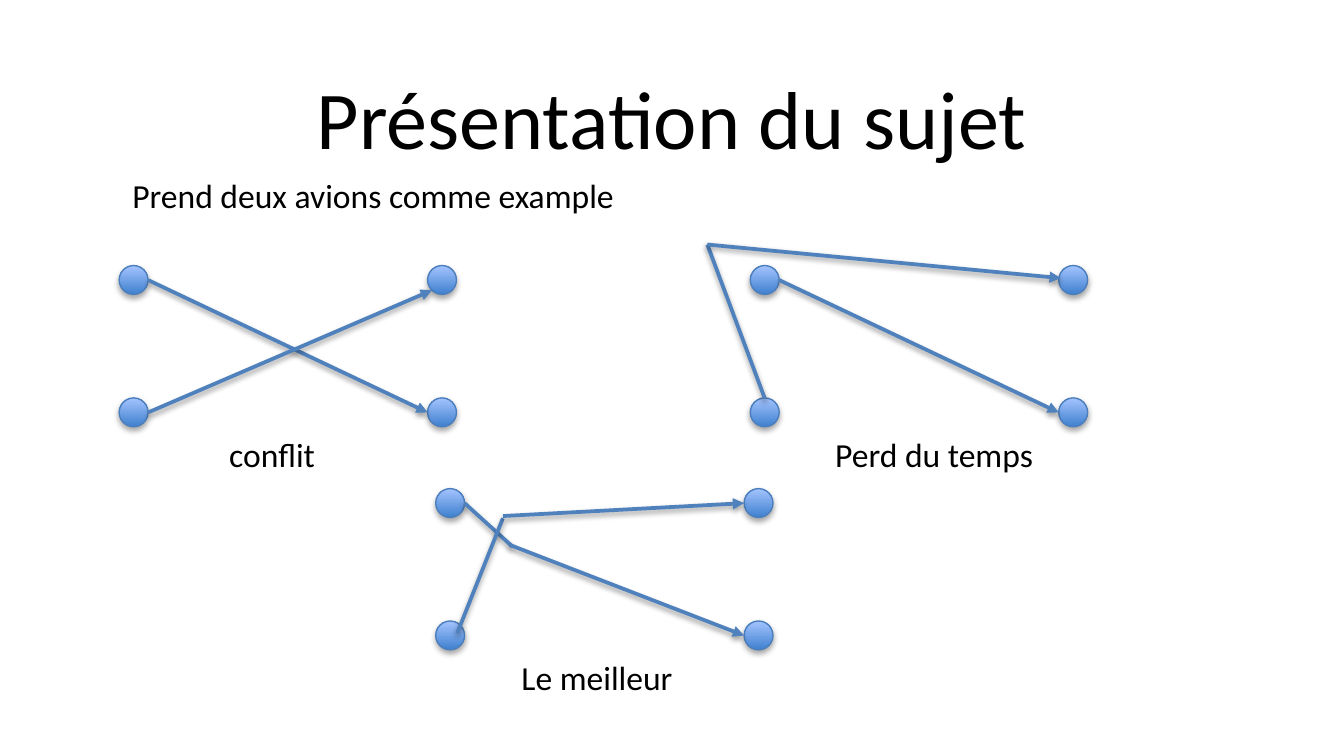
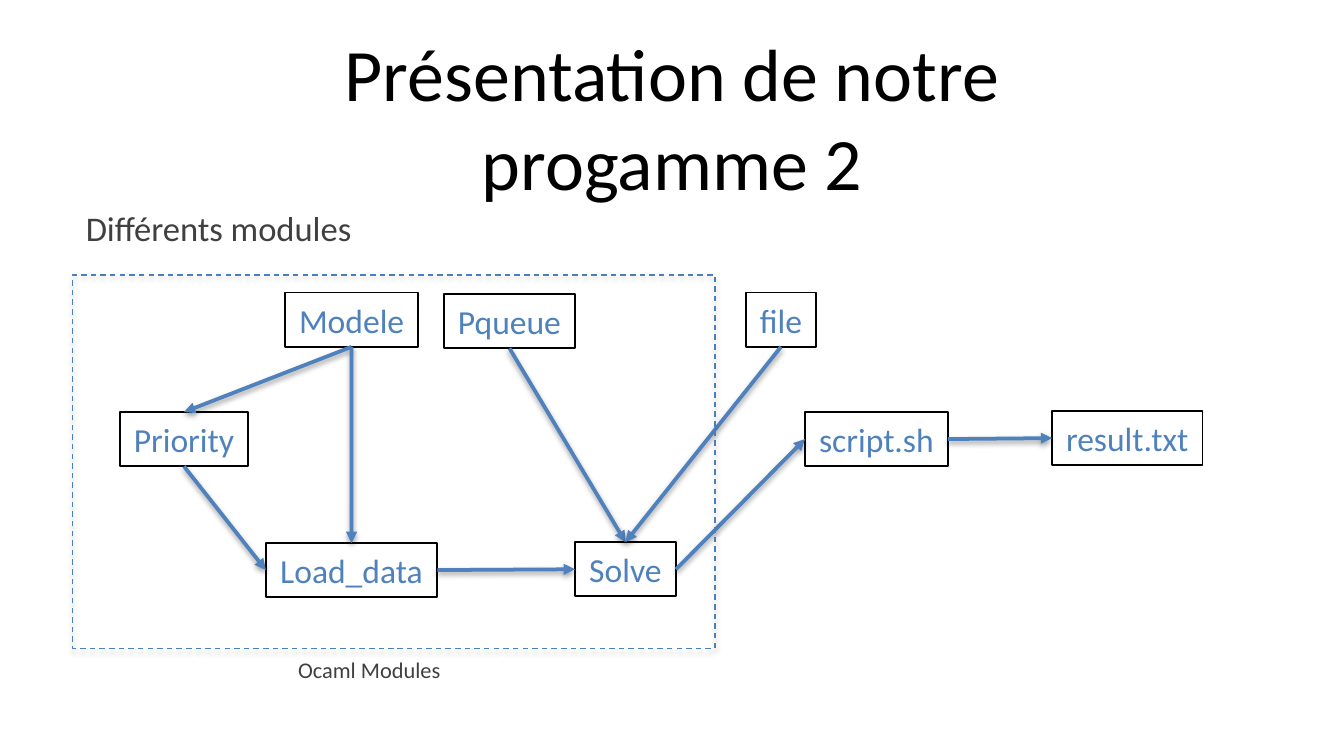
"""Builds two slides on aircraft conflicts and program modules, on a 100-column grid."""
import pptx
import pptx.util
import pptx.dml.color
import pptx.enum.dml
import pptx.enum.shapes
import pptx.enum.text
import pptx.oxml.ns
import lxml.etree

rgb = pptx.dml.color.RGBColor.from_string
tag = pptx.oxml.ns.qn
Pt = pptx.util.Pt
OVAL = pptx.enum.shapes.MSO_SHAPE.OVAL
RECT = pptx.enum.shapes.MSO_SHAPE.RECTANGLE
LINE = pptx.enum.shapes.MSO_CONNECTOR.STRAIGHT
ALIGN = pptx.enum.text.PP_ALIGN
MIDDLE = pptx.enum.text.MSO_ANCHOR.MIDDLE
BLACK, GREY, BLUE, RIM = "000000", "404040", "4F81BD", "4B7EBC"
TOP, LEFT, BASE, RIGHT = range(4)

deck = pptx.Presentation()
deck.slide_width = pptx.util.Inches(10)
deck.slide_height = deck.slide_width * 9 // 16
CELL = deck.slide_width / 100


def write(shape, text, size, hue=BLACK, align=ALIGN.LEFT, **frame):
    """Put one formatted paragraph in a shape."""
    look = {"auto_size": pptx.enum.text.MSO_AUTO_SIZE.NONE, "word_wrap": False, **frame}
    for key, value in look.items():
        setattr(shape.text_frame, key, value)
    para = shape.text_frame.paragraphs[0]
    para.alignment = align
    run = para.add_run()
    run.text = text
    for key, value in {"size": Pt(size), "name": "Calibri"}.items():
        setattr(run.font, key, value)
    run.font.color.rgb = rgb(hue)


def edge(shape, hue, width, alpha=0, drop=0, arrow=False):
    """Set outline, arrowhead and shadow."""
    shape.line.color.rgb = rgb(hue)
    shape.line.width = Pt(width)
    props = shape.element.spPr
    if arrow:
        lxml.etree.SubElement(props.find(tag("a:ln")), tag("a:tailEnd"), type="triangle")
    effect = lxml.etree.SubElement(props, tag("a:effectLst"))
    if alpha:
        shade = lxml.etree.SubElement(
            effect, tag("a:outerShdw"), blurRad=str(Pt(3.1)), dist=str(Pt(drop)),
            dir="5400000", rotWithShape="0")
        ink = lxml.etree.SubElement(shade, tag("a:srgbClr"), val=BLACK)
        lxml.etree.SubElement(ink, tag("a:alpha"), val=str(alpha * 1000))


ROUTE = {"hue": BLUE, "width": 2, "alpha": 38, "drop": 1.6}
SOLID = {"hue": RIM, "width": 0.75, "alpha": 35, "drop": 1.8}

pages = []
for text, size in (("Présentation du sujet", 44), ("Présentation de notre progamme 2", 39.6)):
    page = deck.slides.add_slide(deck.slide_layouts[5])
    place = {"left": 18.3, "top": 3.8, "width": 63.4, "height": 9.7}
    for key, value in place.items():
        setattr(page.shapes.title, key, int(value * CELL))
    write(page.shapes.title, text, size, align=ALIGN.CENTER, word_wrap=True, vertical_anchor=MIDDLE)
    pages.append(page.shapes)
planes, flow = pages

DOT, WIDE, HIGH = 2.15, 22.95, 9.85
cases = [
    (8.87, 19.76, "conflit", 7.2, 8.5, [
        (2.15, 1.08, 22.95, 10.93, True),
        (2.15, 10.93, 23.27, 1.84, True)]),
    (55.83, 19.76, "Perd du temps", 5.33, 16.9, [
        (2.15, 1.08, 22.95, 10.93, True),
        (1.08, 9.9, -3.2, -1.56, False),
        (-3.2, -1.56, 23.1, 0.94, True)]),
    (32.42, 36.36, "Le meilleur ", 5.4, 14, [
        (2.15, 1.08, 5.7, 4.3, False),
        (5.5, 4.18, 22.95, 10.93, True),
        (1.6, 10.75, 5, 2.2, False),
        (5, 2.04, 22.95, 1.08, True)]),
]
for col, row, text, inset, span, routes in cases:
    for x in (col, col + WIDE):
        for y in (row, row + HIGH):
            dot = planes.add_shape(OVAL, *(int(v * CELL) for v in (x, y, DOT, DOT)))
            dot.fill.gradient()
            dot.fill.gradient_angle = 90
            for stop, hue in zip(dot.fill.gradient_stops, ("3F80CE", "A4C4FF")):
                stop.color.rgb = rgb(hue)
            edge(dot, **SOLID)
    for x, y, toX, toY, arrow in routes:
        ends = (col + x, row + y, col + toX, row + toY)
        edge(planes.add_connector(LINE, *(int(v * CELL) for v in ends)), **ROUTE, arrow=arrow)
    place = (col + inset, row + 12.04, span, 4)
    write(planes.add_textbox(*(int(v * CELL) for v in place)), text, 18)

notes = [
    (planes, "Prend deux avions comme example", 18, BLACK, (8.87, 12.5, 38.3, 4)),
    (flow, "Différents modules", 18.5, GREY, (5.4, 14.9, 72, 3.8)),
    (flow, "Ocaml Modules", 12, GREY, (21.2, 48.3, 13.4, 3.8)),
]
for page, text, size, hue, place in notes:
    write(page.add_textbox(*(int(v * CELL) for v in place)), text, size, hue, word_wrap=True)

parts = {
    "Modele": (21.2, 21.77, 9.93),
    "Priority": (8.92, 30.66, 9.54),
    "Solve": (42.78, 40.34, 7.52),
    "Pqueue": (33.02, 21.88, 9.78),
    "Load_data": (19.78, 40.4, 12.76),
    "script.sh": (59.9, 30.65, 10.63),
    "result.txt": (78.28, 30.58, 11.2),
    "file": (55.5, 21.77, 5.22),
}
boxes = {}
for text, (col, row, span) in parts.items():
    box = flow.add_shape(RECT, *(int(v * CELL) for v in (col, row, span, 4.04)))
    box.fill.background()
    edge(box, BLACK, 1)
    write(box, text, 18, BLUE, ALIGN.CENTER)
    boxes[text] = box

links = [
    ("Modele", BASE, "Priority", TOP),
    ("Priority", BASE, "Load_data", LEFT),
    ("Modele", BASE, "Load_data", TOP),
    ("Pqueue", BASE, "Solve", TOP),
    ("Load_data", RIGHT, "Solve", LEFT),
    ("Solve", RIGHT, "script.sh", LEFT),
    ("script.sh", RIGHT, "result.txt", LEFT),
    ("file", BASE, "Solve", TOP),
]
for start, out, end, into in links:
    link = flow.add_connector(LINE, 0, 0, 0, 0)
    link.begin_connect(boxes[start], out)
    link.end_connect(boxes[end], into)
    edge(link, **ROUTE, arrow=True)

zone = flow.add_shape(RECT, *(int(v * CELL) for v in (5.4, 20.46, 47.8, 27.78)))
zone.fill.background()
zone.line.dash_style = pptx.enum.dml.MSO_LINE.DASH
edge(zone, **SOLID)

deck.save("out.pptx")
